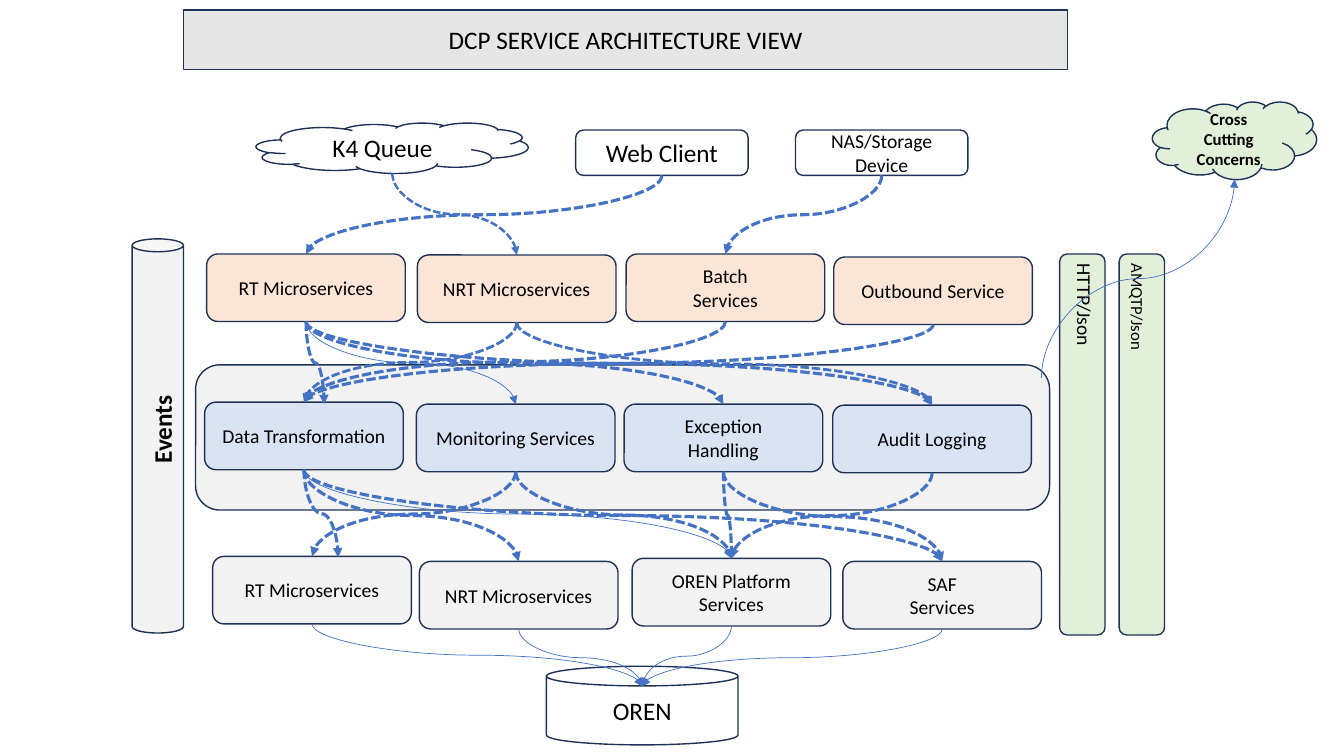
from lxml.etree import SubElement
from pptx import Presentation
from pptx.dml.color import RGBColor
from pptx.enum.dml import MSO_LINE
from pptx.enum.shapes import MSO_CONNECTOR, MSO_SHAPE
from pptx.enum.text import MSO_ANCHOR, MSO_AUTO_SIZE, PP_ALIGN
from pptx.oxml.ns import qn
from pptx.util import Pt

PX = 9144  # EMU per px, 100 px to the inch
COLORS = {
    "outline": "1E3256", "arrow": "4472C4", "text": "000000",
    "banner": "E7E6E6", "plain": "FFFFFF", "grey": "F2F2F2",
    "blue": "DAE3F3", "orange": "FBE5D6", "green": "E2F0D9",
}
FONT = "Calibri"
NODE_SIZE = (197, 67)


def rgb(name):
    return RGBColor.from_string(COLORS[name])


def px(*lengths):
    return [round(length * PX) for length in lengths]


def write(frame, text, size, bold=False, align=PP_ALIGN.CENTER):
    frame.text = text
    frame.word_wrap = True
    for paragraph in frame.paragraphs:
        paragraph.alignment = align
        paragraph.font.name = FONT
        paragraph.font.size = Pt(size)
        paragraph.font.bold = bold
        paragraph.font.color.rgb = rgb("text")


def paint(shape, color):
    shape.fill.solid()
    shape.fill.fore_color.rgb = rgb(color)
    shape.line.color.rgb = rgb("outline")
    shape.line.width = Pt(1)


def add_block(slide, kind, box, color, text="", size=14, bold=False):
    block = slide.shapes.add_shape(kind, *px(*box))
    block.shadow.inherit = False
    paint(block, color)
    if text:
        write(block.text_frame, text, size, bold)
    return block


def add_label(slide, box, text, size, rotation, bold=False):
    label = slide.shapes.add_textbox(*px(*box))
    label.rotation = rotation
    write(label.text_frame, text, size, bold, PP_ALIGN.LEFT)


def top_of(block, dx=0, dy=0):
    """Middle of the top side in px, shifted by dx and dy."""
    return (block.left + block.width / 2) / PX + dx, block.top / PX + dy


def bottom_of(block):
    x, y = top_of(block)
    return x, y + block.height / PX


def add_flow(slide, start, end, weight=2.25, dashed=True):
    """S-curve that leaves and arrives vertically: a turned curved connector."""
    (x1, y1), (x2, y2) = start, end
    length, breadth = abs(y2 - y1), abs(x2 - x1)
    left, top = (x1 + x2 - length) / 2, (y1 + y2 - breadth) / 2
    flow = slide.shapes.add_connector(
        MSO_CONNECTOR.CURVE, *px(left, top, left + length, top + breadth))
    flow.line.color.rgb = rgb("arrow")
    flow.line.width = Pt(weight)
    if dashed:
        flow.line.dash_style = MSO_LINE.SQUARE_DOT

    properties = flow._element.spPr
    turn = properties.find(qn("a:xfrm"))
    rightward, upward = x2 > x1, y2 < y1
    turn.set("rot", str((270 if rightward and not upward else 90) * 60000))
    if rightward:
        turn.set("flipH", "1")
    if upward:
        turn.set("flipV", "1")
    SubElement(properties.find(qn("a:ln")), qn("a:tailEnd"), type="triangle")
    SubElement(properties, qn("a:effectLst"))


def add_banner(slide, box, text):
    banner = slide.shapes.title
    banner.left, banner.top, banner.width, banner.height = px(*box)
    outline = SubElement(banner._element.spPr, qn("a:prstGeom"), prst="roundRect")
    SubElement(outline, qn("a:avLst"))
    paint(banner, "banner")
    write(banner.text_frame, text, 18)
    banner.text_frame.auto_size = MSO_AUTO_SIZE.NONE
    banner.text_frame.vertical_anchor = MSO_ANCHOR.MIDDLE


def add_clients(slide, left, top):
    """Sources of requests: a cloud and two boxes."""
    queue = add_block(slide, MSO_SHAPE.CLOUD, (left, top, 270, 50),
                      "plain", "K4 Queue", 18)
    web, storage = [
        add_block(slide, MSO_SHAPE.ROUNDED_RECTANGLE,
                  (left + dx, top + 7, 171, 45), "plain", text, size)
        for dx, text, size in ((317, "Web Client", 18),
                               (535, "NAS/Storage Device", 14))]
    return queue, web, storage


def add_service_row(slide, left, top, color, services):
    """services: text with its offset from the row's corner."""
    return [add_block(slide, MSO_SHAPE.ROUNDED_RECTANGLE,
                      (left + dx, top + dy, *NODE_SIZE), color, text)
            for text, dx, dy in services]


def add_events(slide, left, top):
    add_block(slide, MSO_SHAPE.CAN, (left, top, 51, 391), "grey")
    add_label(slide, (left - 17, top + 166, 93, 40), "Events", 18, 270, True)


def add_protocols(slide, left, top):
    for dx in (0, 59):
        add_block(slide, MSO_SHAPE.ROUNDED_RECTANGLE,
                  (left + dx, top, 45, 378), "green")
    add_label(slide, (left - 41, top + 48, 131, 34), "HTTP/Json", 14, 90)
    add_label(slide, (left + 12, top + 50, 131, 30), "AMQTP/Json", 12, 90)


def build_architecture(slide):
    add_banner(slide, (182, 10, 877, 59), "DCP SERVICE ARCHITECTURE VIEW")

    # Panel behind the shared services, and the final store
    add_block(slide, MSO_SHAPE.ROUNDED_RECTANGLE, (194, 362, 847, 144), "grey")
    store = add_block(slide, MSO_SHAPE.CAN, (542, 661, 190, 78),
                      "plain", "OREN", 18)

    # Three rows of services
    platforms = add_service_row(slide, 211, 552, "grey", (
        ("RT Microservices", 0, 0), ("NRT Microservices", 205, 5),
        ("OREN Platform\nServices", 416, 2), ("SAF\nServices", 625, 5)))
    shared = add_service_row(slide, 203, 399, "blue", (
        ("Data Transformation", 0, 0), ("Monitoring Services", 210, 2),
        ("Exception\nHandling", 416, 2), ("Audit Logging", 623, 3)))
    entries = add_service_row(slide, 205, 252, "orange", (
        ("RT Microservices", 0, 0), ("NRT Microservices", 209, 1),
        ("Batch\nServices", 416, 0), ("Outbound Service", 622, 3)))

    # Sides and clients
    add_events(slide, 131, 237)
    add_protocols(slide, 1051, 252)
    queue, web, storage = add_clients(slide, 254, 122)
    concerns = add_block(slide, MSO_SHAPE.CLOUD, (1143, 101, 163, 77),
                         "green", "Cross Cutting Concerns", 12, True)

    # Clients to entry services
    rt, nrt, batch, outbound = entries
    add_flow(slide, bottom_of(queue), top_of(nrt), 1.75)
    add_flow(slide, bottom_of(web), top_of(rt))
    add_flow(slide, bottom_of(storage), top_of(batch))

    # Entry services to shared services
    data, monitoring, handling, audit = shared
    add_flow(slide, bottom_of(rt), top_of(data, 20, 2))
    add_flow(slide, bottom_of(rt), top_of(monitoring), 0.5, False)
    for source, target, weight in (
            (rt, handling, 2.25), (rt, audit, 2.25), (nrt, data, 2),
            (nrt, audit, 2), (batch, data, 2.25), (outbound, data, 2.25)):
        add_flow(slide, bottom_of(source), top_of(target), weight)

    # Shared services to platforms
    rt_out, nrt_out, platform, saf = platforms
    add_flow(slide, bottom_of(data), top_of(rt_out, 26, 1))
    add_flow(slide, bottom_of(data), top_of(platform), 0.5, False)
    for source, target in (
            (data, nrt_out), (data, saf), (monitoring, rt_out),
            (monitoring, platform), (handling, platform), (handling, saf),
            (audit, platform)):
        add_flow(slide, bottom_of(source), top_of(target))

    # Platforms to the store's lid, and the panel to the concerns
    for source in platforms:
        add_flow(slide, bottom_of(source), top_of(store, 0, 20), 0.5, False)
    add_flow(slide, (1033, 375), bottom_of(concerns), 0.5, False)


def main():
    deck = Presentation()
    deck.slide_width, deck.slide_height = px(1333, 750)
    build_architecture(deck.slides.add_slide(deck.slide_layouts[5]))
    deck.save("out.pptx")


if __name__ == "__main__":
    main()
